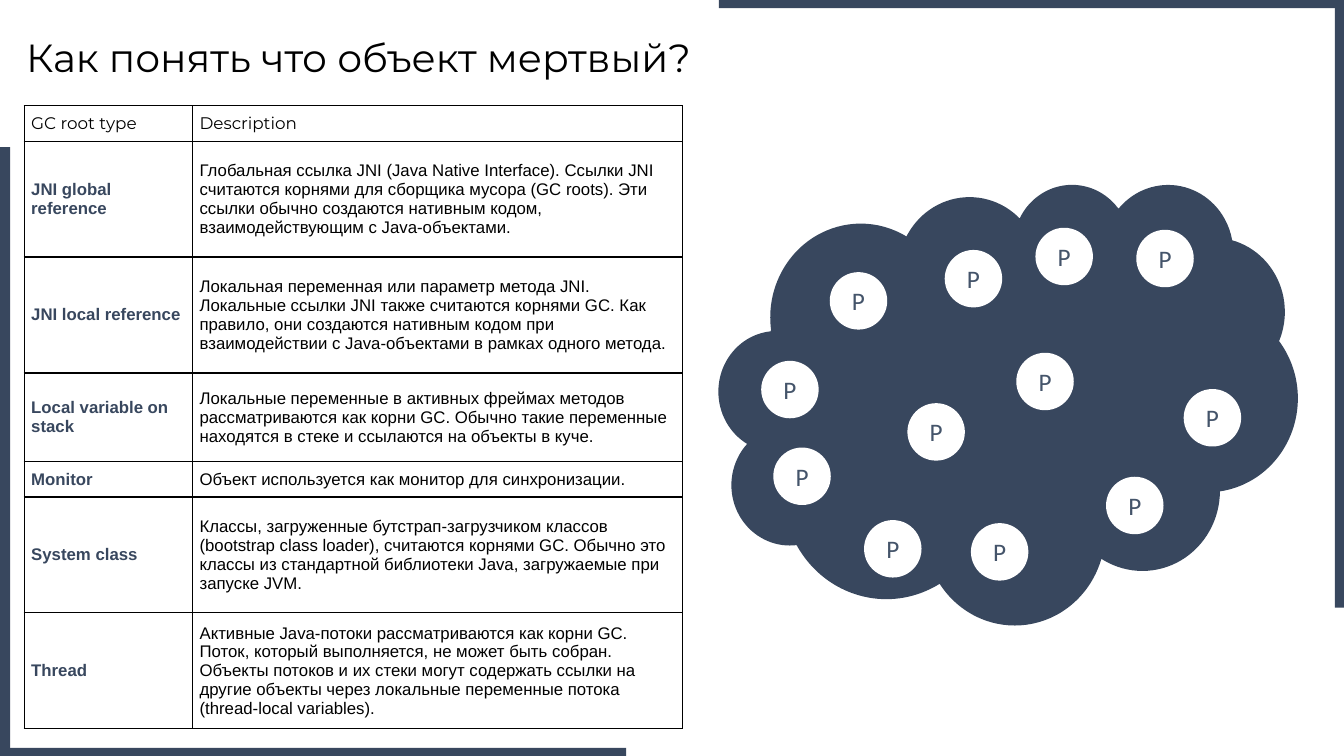
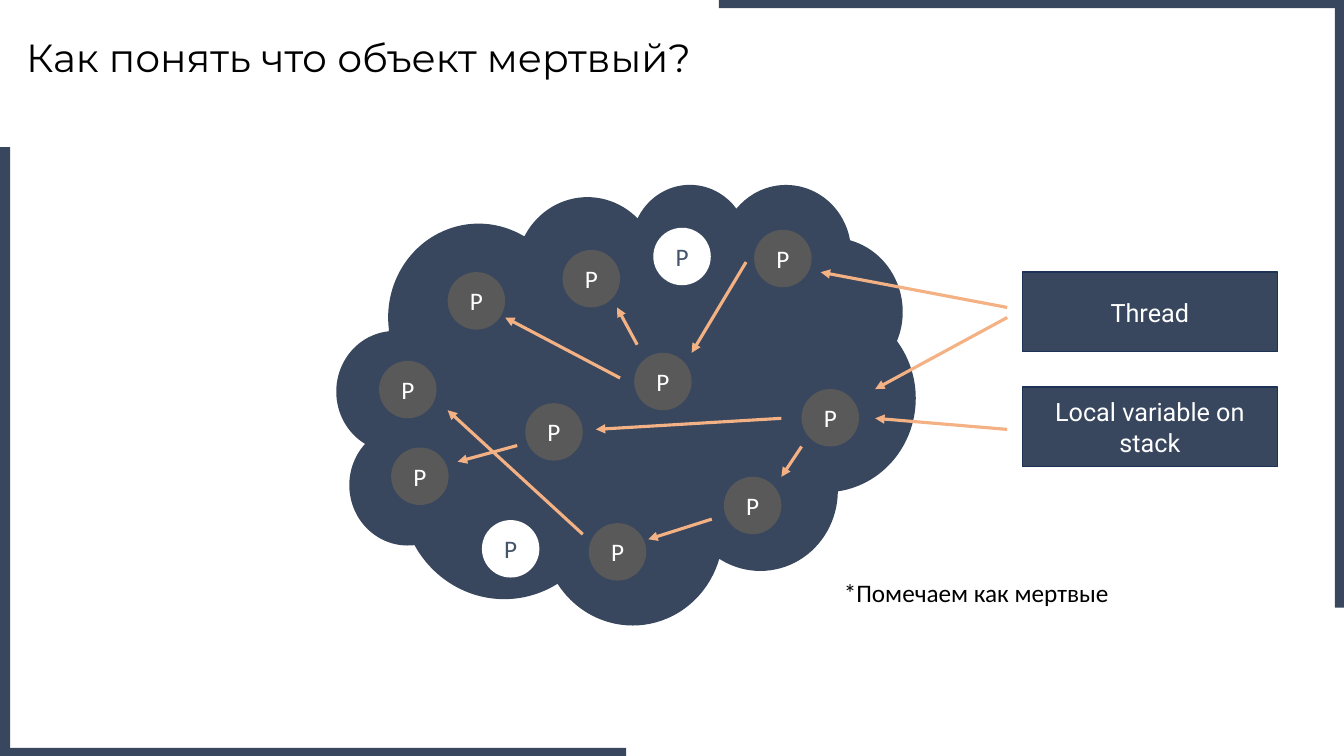
from lxml import etree
from pptx import Presentation
from pptx.dml.color import RGBColor
from pptx.enum.shapes import MSO_CONNECTOR, MSO_SHAPE
from pptx.enum.text import MSO_ANCHOR, MSO_AUTO_SIZE, PP_ALIGN
from pptx.oxml.ns import qn
from pptx.util import Inches, Pt

NAVY = RGBColor(0x38, 0x47, 0x5E)
NAVY_EDGE = RGBColor(0x1E, 0x32, 0x56)
SLATE = RGBColor(0x44, 0x54, 0x6A)
GREY = RGBColor(0x59, 0x59, 0x59)
ORANGE = RGBColor(0xF4, 0xB1, 0x83)
BLACK = RGBColor(0, 0, 0)
WHITE = RGBColor(0xFF, 0xFF, 0xFF)

WIDTH, HEIGHT = 13.33, 7.5
TITLE = "Как понять что объект мертвый?"

# Edge bands: left, top, width, height
BANDS = [
    (0, 1.46, 0.1, 6.04),
    (0.1, 7.42, 6.11, 0.08),
    (13.24, 0, 0.09, 6.03),
    (7.13, 0, 6.11, 0.08),
]

GC_ROOTS = [
    ("GC root type", "Description", 0.35),
    ("JNI global reference",
     "Глобальная ссылка JNI (Java Native Interface). Ссылки JNI считаются корнями для "
     "сборщика мусора (GC roots). Эти ссылки обычно создаются нативным кодом, "
     "взаимодействующим с Java-объектами.", 1.15),
    ("JNI local reference",
     "Локальная переменная или параметр метода JNI. Локальные ссылки JNI также считаются "
     "корнями GC. Как правило, они создаются нативным кодом при взаимодействии с "
     "Java-объектами в рамках одного метода.", 1.15),
    ("Local variable on stack",
     "Локальные переменные в активных фреймах методов рассматриваются как корни GC. "
     "Обычно такие переменные находятся в стеке и ссылаются на объекты в куче.", 0.88),
    ("Monitor", "Объект используется как монитор для синхронизации.", 0.35),
    ("System class",
     "Классы, загруженные бутстрап-загрузчиком классов (bootstrap class loader), считаются "
     "корнями GC. Обычно это классы из стандартной библиотеки Java, загружаемые при "
     "запуске JVM.", 1.15),
    ("Thread",
     "Активные Java-потоки рассматриваются как корни GC. Поток, который выполняется, не "
     "может быть собран. Объекты потоков и их стеки могут содержать ссылки на другие "
     "объекты через локальные переменные потока (thread-local variables).", 1.15),
]

# Positions inside the heap cloud, from its top left corner
CLOUD_SIZE = (5.74, 4.37)
OBJECT_SIZE = 0.57
REACHABLE = [
    (0.42, 1.76), (1.1, 0.88), (2.24, 0.66), (0.54, 2.62), (1.87, 2.18),
    (4.14, 0.46), (2.5, 3.37), (2.95, 1.68), (3.84, 2.91), (4.61, 2.04),
]
UNREACHABLE = [(1.44, 3.34), (3.14, 0.44)]
OBJECT_LINKS = [
    ((4.06, 0.78), (3.52, 1.68)),
    ((4.41, 2.33), (2.57, 2.44)),
    ((4.61, 2.61), (4.41, 2.91)),
    ((1.79, 2.6), (1.2, 2.76)),
    ((2.98, 1.6), (2.78, 1.23)),
    ((3.72, 3.33), (3.09, 3.53)),
    ((2.44, 3.48), (1.1, 2.25)),
    ((2.81, 1.93), (1.67, 1.33)),
]
ROOT_LINKS = [
    ((6.65, 2.44), (5.34, 2.33)),
    ((6.65, 1.33), (5.34, 2.04)),
    ((6.65, 1.23), (4.8, 0.88)),
]


def style_text(frame, size, color, font="Calibri", bold=False, align=PP_ALIGN.LEFT):
    for paragraph in frame.paragraphs:
        paragraph.alignment = align
        for run in paragraph.runs:
            run.font.size = Pt(size)
            run.font.name = font
            run.font.bold = bold
            run.font.color.rgb = color


def add_box(slide, preset, box, fill, edge=None):
    """Add a flat preset shape; box holds left, top, width, height in inches."""
    shape = slide.shapes.add_shape(preset, *map(Inches, box))
    shape.shadow.inherit = False
    shape.fill.solid()
    shape.fill.fore_color.rgb = fill
    if edge is None:
        shape.line.fill.background()
    else:
        shape.line.color.rgb = edge
        shape.line.width = Pt(1)
    return shape


def add_label_box(slide, preset, box, label, fill, color, font="Calibri", edge=None):
    frame = add_box(slide, preset, box, fill, edge).text_frame
    frame.word_wrap = True
    frame.vertical_anchor = MSO_ANCHOR.MIDDLE
    if preset == MSO_SHAPE.OVAL:
        frame.margin_left = frame.margin_right = 0
        frame.margin_top = frame.margin_bottom = 0
    frame.text = label
    style_text(frame, 18, color, font, align=PP_ALIGN.CENTER)


def add_arrow(slide, start, end):
    arrow = slide.shapes.add_connector(
        MSO_CONNECTOR.STRAIGHT, *map(Inches, (*start, *end)))
    arrow.line.color.rgb = ORANGE
    arrow.line.width = Pt(2.25)
    etree.SubElement(arrow.line._get_or_add_ln(), qn("a:tailEnd"), type="triangle")
    etree.SubElement(arrow._element.spPr, qn("a:effectLst"))


def add_base_slide(deck):
    """Add a slide with the shared title and edge bands."""
    slide = deck.slides.add_slide(deck.slide_layouts[5])
    title = slide.shapes.title
    title.left, title.top, title.width, title.height = map(Inches, (0.16, 0.28, 8.26, 0.57))
    frame = title.text_frame
    frame.text = TITLE
    frame.auto_size = MSO_AUTO_SIZE.NONE
    frame.vertical_anchor = MSO_ANCHOR.MIDDLE
    style_text(frame, 28, BLACK, "Montserrat")
    for band in BANDS:
        add_box(slide, MSO_SHAPE.RECTANGLE, band, NAVY)
    return slide


def add_cell_borders(cell):
    properties = cell._tc.get_or_add_tcPr()
    for index, side in enumerate(("lnL", "lnR", "lnT", "lnB")):
        line = etree.Element(qn(f"a:{side}"), w=str(Pt(1)))
        fill = etree.SubElement(line, qn("a:solidFill"))
        etree.SubElement(fill, qn("a:srgbClr"), val=str(BLACK))
        properties.insert(index, line)


def add_roots_table(slide, left, top):
    widths = (1.67, 4.86)
    total_height = sum(height for *_, height in GC_ROOTS)
    table = slide.shapes.add_table(
        len(GC_ROOTS), len(widths),
        *map(Inches, (left, top, sum(widths), total_height))).table
    table.horz_banding = False
    for column, width in zip(table.columns, widths):
        column.width = Inches(width)
    for row_index, (*texts, height) in enumerate(GC_ROOTS):
        table.rows[row_index].height = Inches(height)
        for column_index, text in enumerate(texts):
            cell = table.cell(row_index, column_index)
            cell.text = text
            cell.vertical_anchor = MSO_ANCHOR.MIDDLE
            cell.margin_left = cell.margin_right = Inches(0.07)
            cell.margin_top = cell.margin_bottom = Inches(0.03)
            cell.fill.solid()
            cell.fill.fore_color.rgb = WHITE
            add_cell_borders(cell)
            is_header = row_index == 0
            is_root_name = column_index == 0 and not is_header
            style_text(cell.text_frame, 12, NAVY if is_root_name else BLACK,
                       "Montserrat" if is_header else "Arial", is_root_name)


def add_heap(slide, left, top, marked=False):
    """Draw the heap cloud; when marked, show links and darken reachable objects."""
    add_box(slide, MSO_SHAPE.CLOUD, (left, top, *CLOUD_SIZE), NAVY)
    if marked:
        for start, end in OBJECT_LINKS + ROOT_LINKS:
            add_arrow(slide, (left + start[0], top + start[1]),
                      (left + end[0], top + end[1]))
    for x, y in REACHABLE + UNREACHABLE:
        dark = marked and (x, y) in REACHABLE
        add_label_box(slide, MSO_SHAPE.OVAL, (left + x, top + y, OBJECT_SIZE, OBJECT_SIZE),
                      "P", GREY if dark else WHITE, WHITE if dark else SLATE)


def add_root_boxes(slide, left, top):
    for index, root in enumerate(("Thread", "Local variable on stack")):
        add_label_box(slide, MSO_SHAPE.RECTANGLE, (left, top + index * 1.14, 2.53, 0.79),
                      root, NAVY, WHITE, "Roboto", NAVY_EDGE)


def add_footnote(slide, left, top):
    frame = slide.shapes.add_textbox(*map(Inches, (left, top, 4.05, 0.4))).text_frame
    frame.word_wrap = True
    frame.text = "*Помечаем как мертвые"
    style_text(frame, 18, BLACK)


def build_roots_slide(deck):
    slide = add_base_slide(deck)
    add_roots_table(slide, 0.24, 1.05)
    add_heap(slide, 7.13, 1.82)


def build_marking_slide(deck):
    slide = add_base_slide(deck)
    add_heap(slide, 3.34, 1.82, marked=True)
    add_root_boxes(slide, 10.14, 2.7)
    add_footnote(slide, 8.27, 5.68)


def main():
    deck = Presentation()
    deck.slide_width, deck.slide_height = Inches(WIDTH), Inches(HEIGHT)
    build_roots_slide(deck)
    build_marking_slide(deck)
    deck.save("out.pptx")


if __name__ == "__main__":
    main()
